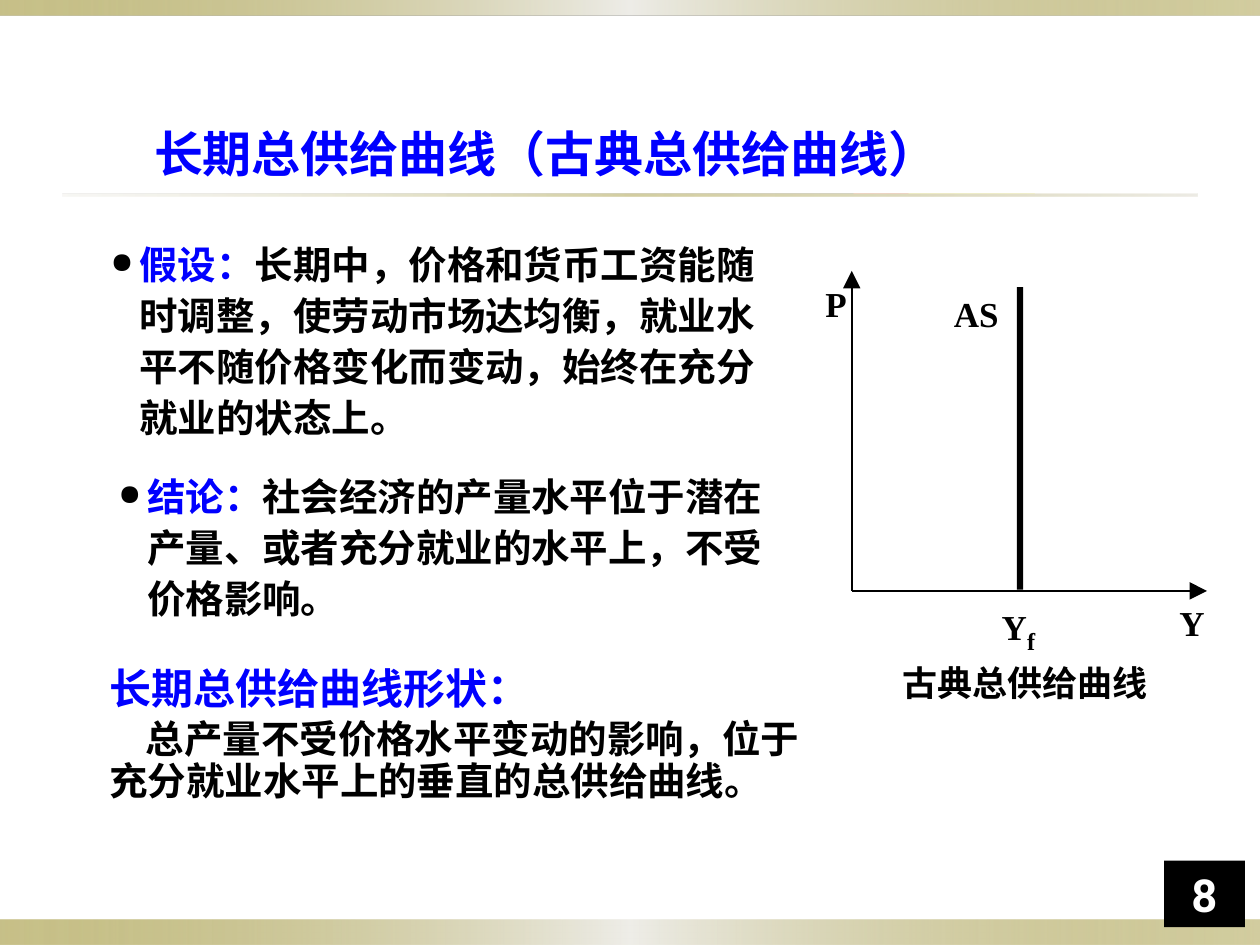
from dataclasses import dataclass

from lxml import etree
from pptx import Presentation
from pptx.dml.color import RGBColor
from pptx.enum.shapes import MSO_CONNECTOR, MSO_SHAPE
from pptx.enum.text import MSO_ANCHOR, PP_ALIGN
from pptx.oxml.ns import qn
from pptx.util import Inches, Pt

RECTANGLE = MSO_SHAPE.RECTANGLE
STRAIGHT = MSO_CONNECTOR.STRAIGHT
CENTER, LEFT = PP_ALIGN.CENTER, PP_ALIGN.LEFT
TOP, MIDDLE, BOTTOM = MSO_ANCHOR.TOP, MSO_ANCHOR.MIDDLE, MSO_ANCHOR.BOTTOM

COLUMNS, ROWS = 100, 75
CELL = Inches(10) / COLUMNS
COLORS = {"ink": "000000", "accent": "0000FF", "paper": "FFFFFF",
          "olive": "918415", "mist": "EEEDE8", "sand": "DCD9CC"}
LATIN, SANS, CJK = "Times New Roman", "Arial", "Noto Sans CJK SC"
BAND_STOPS = [("olive", 50), ("mist", 100), ("olive", 40)]
RULE_STOPS = [("sand", 20), ("olive", 40), ("sand", 50)]


@dataclass
class Box:
    """An area of the slide, in grid columns and rows."""
    left: float
    top: float
    width: float
    height: float

    def inner(self, left, top, width, height):
        return Box(self.left + left, self.top + top, width, height)

    def emu(self):
        return [round(value * CELL)
                for value in (self.left, self.top, self.width, self.height)]


def rgb(name):
    return RGBColor.from_string(COLORS[name])


def add_child(parent, tag, **attributes):
    return etree.SubElement(parent, qn(tag), attributes)


def add_block(slide, box, color="ink"):
    shape = slide.shapes.add_shape(RECTANGLE, *box.emu())
    shape.shadow.inherit = False
    shape.line.fill.background()
    shape.fill.solid()
    shape.fill.fore_color.rgb = rgb(color)
    return shape


def add_gradient_bar(slide, box, stops):
    """Draw a bar with three (colour, opacity) stops from left to right."""
    properties = add_block(slide, box)._element.spPr
    gradient = etree.Element(qn("a:gradFill"), rotWithShape="1")
    stop_list = add_child(gradient, "a:gsLst")
    for index, (name, opacity) in enumerate(stops):
        stop = add_child(stop_list, "a:gs", pos=str(index * 50000))
        color = add_child(stop, "a:srgbClr", val=COLORS[name])
        add_child(color, "a:alpha", val=str(opacity * 1000))
    add_child(gradient, "a:lin", ang="0", scaled="0")
    properties.replace(properties.find(qn("a:solidFill")), gradient)


def write(paragraph, runs, size, font=SANS, align=LEFT):
    """Fill a paragraph with bold (text, colour) runs."""
    paragraph.alignment = align
    paragraph.font.size = Pt(size)
    paragraph.font.bold = True
    paragraph.font.name = font
    defaults = paragraph._p.pPr.find(qn("a:defRPr"))
    add_child(defaults, "a:ea", typeface=CJK)
    for text, color in runs:
        run = paragraph.add_run()
        run.text = text
        run.font.color.rgb = rgb(color)


def add_text_frame(slide, box, anchor=TOP, wrap=True, inset=True):
    frame = slide.shapes.add_textbox(*box.emu()).text_frame
    frame.word_wrap = wrap
    frame.vertical_anchor = anchor
    if not inset:
        frame.margin_left = frame.margin_right = 0
        frame.margin_top = frame.margin_bottom = 0
    return frame


def add_frame_bands(slide, box):
    add_gradient_bar(slide, box.inner(0, 73, box.width, 2), BAND_STOPS)
    add_gradient_bar(slide, box.inner(0, 0, box.width, 1.2), BAND_STOPS)


def add_title(slide, box):
    add_gradient_bar(slide, box.inner(0, 7, box.width, 0.2), RULE_STOPS)
    frame = add_text_frame(slide, box.inner(3.3, 0, 70, 7.5), MIDDLE)
    write(frame.paragraphs[0], [("长期总供给曲线（古典总供给曲线）", "accent")],
          28, LATIN, CENTER)


def add_bullet_point(slide, box, lead, text):
    paragraph = add_text_frame(slide, box).paragraphs[0]
    paragraph.line_spacing = 1.1
    properties = paragraph._p.get_or_add_pPr()
    properties.set("marL", str(Inches(0.23)))
    properties.set("indent", str(-Inches(0.23)))
    bullet_color = add_child(properties, "a:buClr")
    add_child(bullet_color, "a:srgbClr", val=COLORS["ink"])
    add_child(properties, "a:buSzPct", val="75000")
    add_child(properties, "a:buChar", char="●")
    write(paragraph, [(lead, "accent"), (text, "ink")], 22)


def add_shape_summary(slide, box):
    frame = add_text_frame(slide, box)
    heading, body = frame.paragraphs[0], frame.add_paragraph()
    for paragraph in (heading, body):
        paragraph.line_spacing = 0.9
    body.space_before = Pt(4.4)
    body._p.get_or_add_pPr().set("indent", str(Inches(0.29)))
    write(heading, [("长期总供给曲线形状：", "accent")], 24)
    write(body, [("总产量不受价格水平变动的影响，位于充分就业水平上的"
                  "垂直的总供给曲线。", "ink")], 22)


def add_axis(slide, start, end):
    points = [round(value * CELL) for value in (*start, *end)]
    axis = slide.shapes.add_connector(STRAIGHT, *points)
    axis.line.color.rgb = rgb("ink")
    axis.line.width = Pt(1)
    properties = axis._element.spPr
    add_child(properties.find(qn("a:ln")), "a:tailEnd",
              type="triangle", w="lg", len="lg")
    add_child(properties, "a:effectLst")


def add_label(slide, box, text, font=LATIN, subscript=""):
    frame = add_text_frame(slide, box, wrap=False, inset=False)
    paragraph = frame.paragraphs[0]
    write(paragraph, [(piece, "ink") for piece in (text, subscript) if piece],
          20, font)
    if subscript:
        run = paragraph.runs[1]
        run.font.size = Pt(24)
        run._r.get_or_add_rPr().set("baseline", "-25000")


def add_supply_diagram(slide, box):
    origin = (box.left + 2.1, box.top + 25.4)
    add_axis(slide, origin, (box.left + 30.3, origin[1]))
    add_axis(slide, origin, (origin[0], box.top))
    add_block(slide, box.inner(15.2, 1.3, 0.5, 24))
    add_label(slide, box.inner(0, 0.9, 1.7, 3.3), "P")
    add_label(slide, box.inner(10.2, 1.7, 3.6, 3.3), "AS")
    add_label(slide, box.inner(28.1, 26.2, 2, 3.3), "Y")
    add_label(slide, box.inner(14, 26, 2.8, 3.3), "Y", subscript="f")
    add_label(slide, box.inner(6.1, 31, 19.8, 3.4), "古典总供给曲线", CJK)


def add_page_number(slide, box):
    frame = add_block(slide, box).text_frame
    frame.vertical_anchor = BOTTOM
    write(frame.paragraphs[0], [("8", "paper")], 26, "Roboto", CENTER)


def main():
    presentation = Presentation()
    presentation.slide_width = round(COLUMNS * CELL)
    presentation.slide_height = round(ROWS * CELL)
    slide = presentation.slides.add_slide(presentation.slide_layouts[6])
    add_frame_bands(slide, Box(0, 0, COLUMNS, ROWS))
    add_title(slide, Box(5, 8.4, 90, 7.5))
    add_bullet_point(slide, Box(7.8, 18.3, 55, 19.2), "假设：",
                     "长期中，价格和货币工资能随时调整，使劳动市场达均衡，"
                     "就业水平不随价格变化而变动，始终在充分就业的状态上。")
    add_bullet_point(slide, Box(8.4, 36.7, 54.2, 12.5), "结论：",
                     "社会经济的产量水平位于潜在产量、或者充分就业的水平上，"
                     "不受价格影响。")
    add_shape_summary(slide, Box(7.7, 52.5, 57.5, 14.2))
    add_supply_diagram(slide, Box(65.5, 21.5, 31, 34.5))
    add_page_number(slide, Box(92.4, 68.3, 6.4, 5.3))
    presentation.save("out.pptx")


if __name__ == "__main__":
    main()
